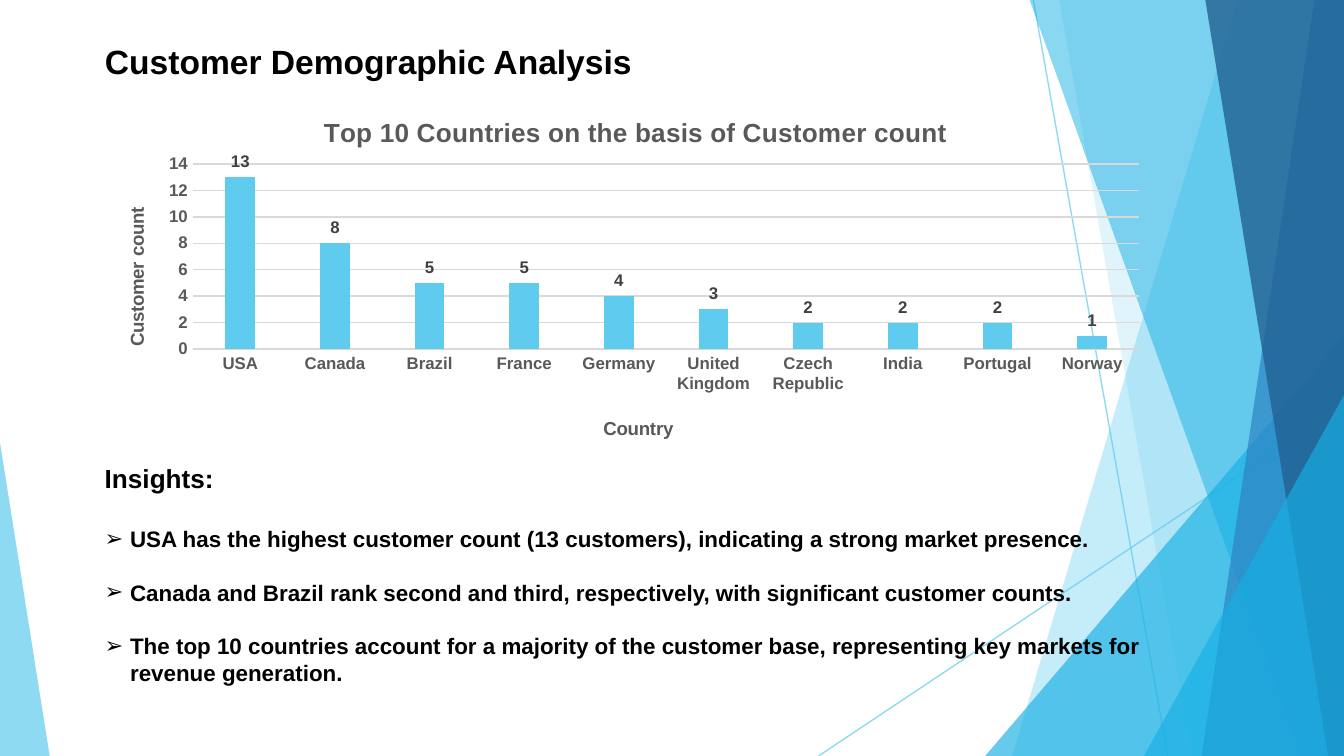
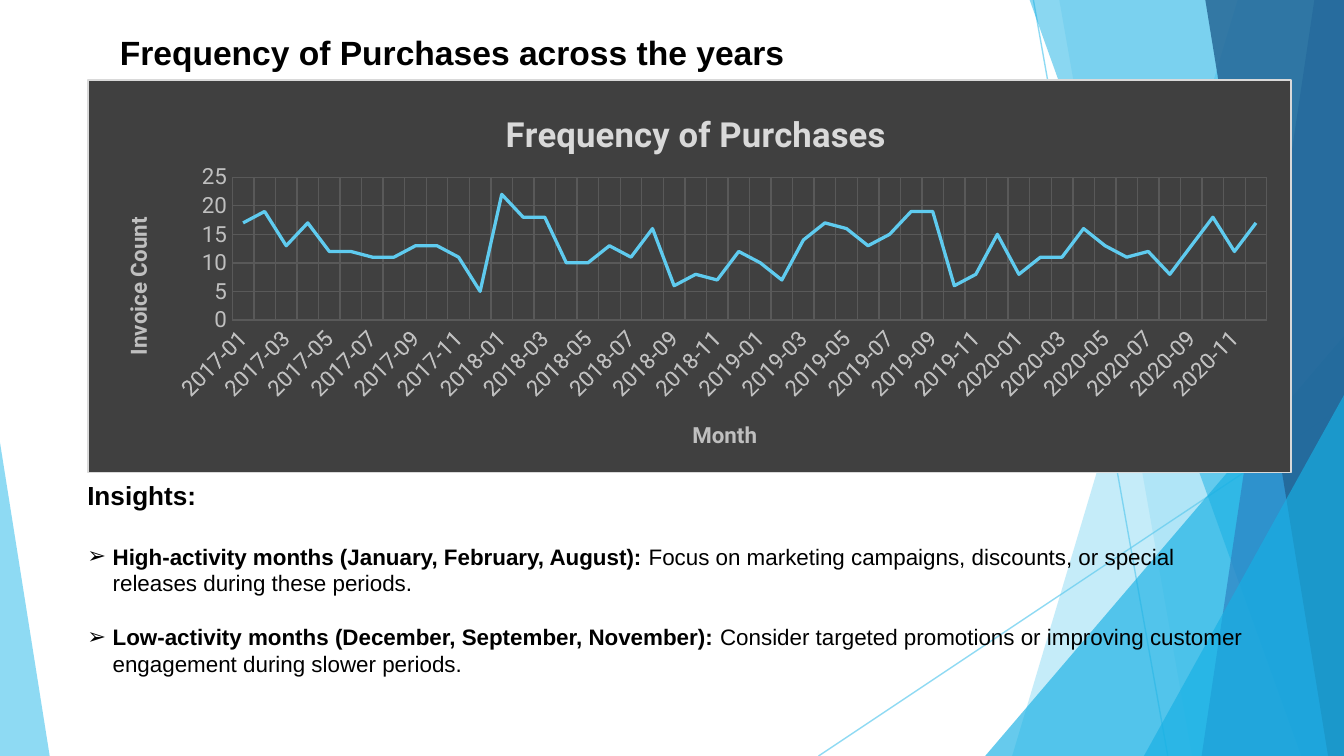
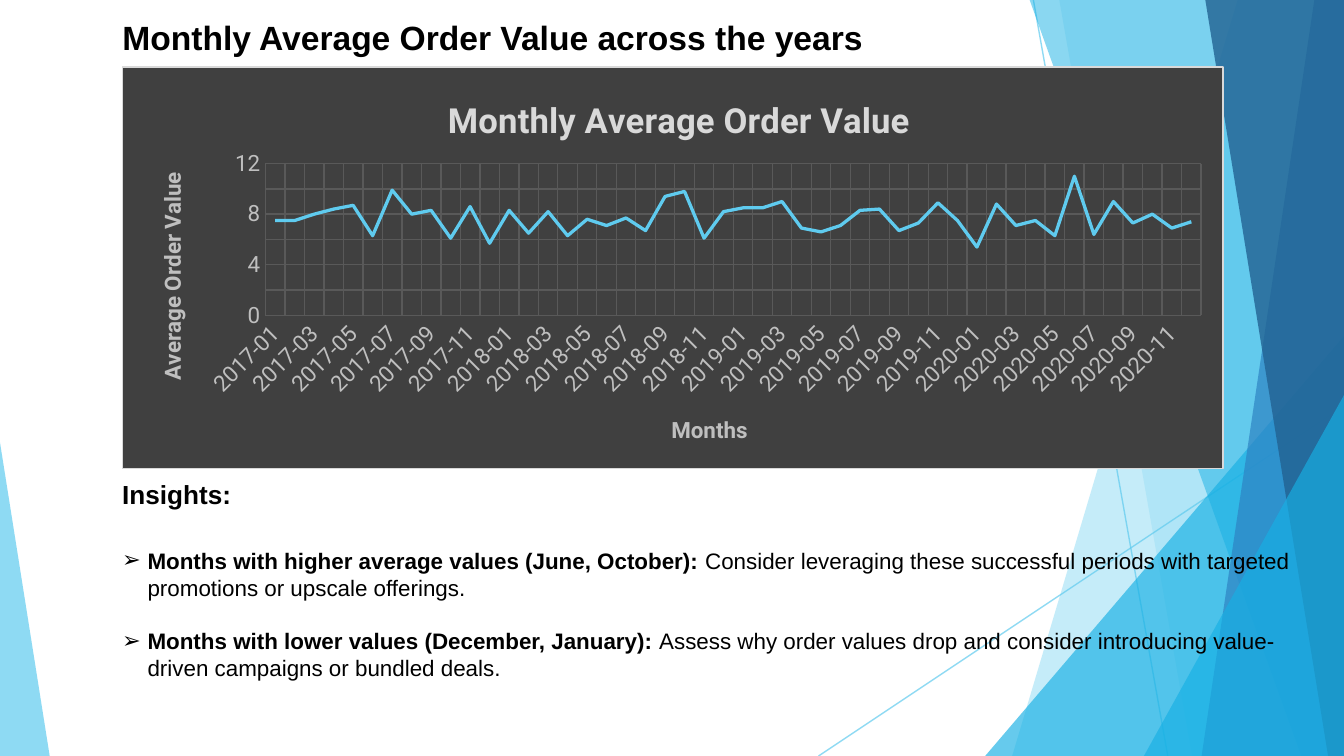
from dataclasses import dataclass

from lxml import etree
from pptx import Presentation
from pptx.chart.data import CategoryChartData
from pptx.dml.color import RGBColor
from pptx.enum.chart import XL_CHART_TYPE, XL_LABEL_POSITION, XL_TICK_MARK
from pptx.enum.shapes import MSO_CONNECTOR, MSO_SHAPE
from pptx.enum.text import MSO_ANCHOR, MSO_AUTO_SIZE, PP_ALIGN
from pptx.oxml.ns import qn
from pptx.util import Cm, Pt

COLUMN = XL_CHART_TYPE.COLUMN_CLUSTERED
LINE = XL_CHART_TYPE.LINE
OUTSIDE = XL_LABEL_POSITION.OUTSIDE_END
NO_TICK = XL_TICK_MARK.NONE
STRAIGHT = MSO_CONNECTOR.STRAIGHT
TRIANGLE = MSO_SHAPE.ISOSCELES_TRIANGLE
TOP = MSO_ANCHOR.TOP
LEFT = PP_ALIGN.LEFT
FIXED = MSO_AUTO_SIZE.NONE

WIDE, HIGH = 25.4, 14.29


@dataclass(frozen=True)
class Theme:
    font: str = "Arial"
    text: str = "000000"
    sky: str = "5FCBEF"
    cyan: str = "17B0E4"
    blue: str = "2E83C3"
    navy: str = "226292"
    rule: str = "D9D9D9"
    label: str = "404040"
    title: float = 18
    head: float = 14
    body: float = 12
    hair: float = 0.75
    trend: float = 1.75


@dataclass(frozen=True)
class Look:
    """Type and colours of one kind of chart."""
    font: str
    title: str
    ink: str
    grid: str
    big: float
    mid: float
    small: float
    bold: bool


@dataclass(frozen=True)
class Frame:
    """Places of a chart's parts, in percent of the chart."""
    plot: tuple
    title: tuple
    across: tuple
    up: tuple


THEME = Theme()
LIGHT = Look("Arial", "595959", "595959", "D9D9D9", 14, 10, 9, True)
DARK = Look("Roboto", "D9D9D9", "BFBFBF", "595959", 18.6, 12, 12, False)

MONTHS = [f"{year}-{month:02}" for year in range(2017, 2021) for month in range(1, 13)]
LANDS = {"USA": 13, "Canada": 8, "Brazil": 5, "France": 5, "Germany": 4,
         "United Kingdom": 3, "Czech Republic": 2, "India": 2, "Portugal": 2,
         "Norway": 1}
BUYS = [17, 19, 13, 17, 12, 12, 11, 11, 13, 13, 11, 5,
        22, 18, 18, 10, 10, 13, 11, 16, 6, 8, 7, 12,
        10, 7, 14, 17, 16, 13, 15, 19, 19, 6, 8, 15,
        8, 11, 11, 16, 13, 11, 12, 8, 13, 18, 12, 17]
MEANS = [7.5, 7.5, 8, 8.4, 8.7, 6.3, 9.9, 8, 8.3, 6.1, 8.6, 5.7,
         8.3, 6.5, 8.2, 6.3, 7.6, 7.1, 7.7, 6.7, 9.4, 9.8, 6.1, 8.2,
         8.5, 8.5, 9, 6.9, 6.6, 7.1, 8.3, 8.4, 6.7, 7.3, 8.9, 7.5,
         5.4, 8.8, 7.1, 7.5, 6.3, 11, 6.4, 9, 7.3, 8, 6.9, 7.4]


# Small helpers
def rgb(code):
    return RGBColor.from_string(code)


def sub(node, tag, **attrs):
    return etree.SubElement(node, qn(tag), attrs)


def span(box):
    return [Cm(side) for side in box]


def style(font, name, size, color, bold):
    font.name, font.size, font.bold = name, Pt(size), bold
    font.color.rgb = rgb(color)


def write(para, text, size, bold=True):
    run = para.add_run()
    run.text = text
    style(run.font, THEME.font, size, THEME.text, bold)


def fade(shape, alpha):
    for color in shape.element.spPr.iter(qn("a:srgbClr")):
        sub(color, "a:alpha", val=str(alpha * 1000))


# Backdrop, drawn once and handed to the layout
def paint(shape, color, alpha):
    shape.shadow.inherit = False
    shape.fill.solid()
    shape.fill.fore_color.rgb = rgb(color)
    shape.line.fill.background()
    fade(shape, alpha)


def ray(shapes, start, end):
    line = shapes.add_connector(STRAIGHT, *span(start + end))
    line.line.color.rgb = rgb(THEME.sky)
    line.line.width = Pt(THEME.hair)
    sub(line.element.spPr, "a:effectLst")
    fade(line, 70)


def band(shapes, top, foot, color, alpha):
    """Fill from a slanted left edge to the right side of the slide."""
    path = shapes.build_freeform(Cm(top), 0)
    path.add_line_segments([span(spot) for spot in ((WIDE, 0), (WIDE, HIGH), (foot, HIGH))])
    paint(path.convert_to_shape(), color, alpha)


def wedge(shapes, left, top, width, peak, color, alpha):
    """Triangle that stands on the foot of the slide."""
    shape = shapes.add_shape(TRIANGLE, *span((left, top, width, HIGH - top)))
    shape.adjustments[0] = peak
    paint(shape, color, alpha)


def backdrop(slide):
    group = slide.shapes.add_group_shape()
    shapes = group.shapes
    ray(shapes, (19.53, 0), (22.07, HIGH))
    ray(shapes, (WIDE, 7.67), (15.47, HIGH))
    band(shapes, 23.39, 19.13, THEME.sky, 36)
    band(shapes, 20.02, 22.53, THEME.sky, 20)
    wedge(shapes, 18.62, 6.35, WIDE - 18.62, 1, THEME.cyan, 66)
    band(shapes, 19.46, 24.59, THEME.cyan, 50)
    band(shapes, 24.84, 22.71, THEME.blue, 70)
    band(shapes, 22.78, 25.1, THEME.navy, 80)
    wedge(shapes, 21.62, 7.47, WIDE - 21.62, 1, THEME.cyan, 66)
    wedge(shapes, 0, 8.36, 0.94, 0, THEME.sky, 70)
    tree = slide.slide_layout.shapes.element
    tree.insert(2, group.element)
    for number, node in enumerate(tree.iter(qn("p:cNvPr")), 1):
        node.set("id", str(number))


# Title and insights
def head(slide, box, text):
    title = slide.shapes.title
    title.left, title.top, title.width, title.height = span(box)
    frame = title.text_frame
    frame.word_wrap, frame.auto_size = True, FIXED
    frame.vertical_anchor = TOP
    para = frame.paragraphs[0]
    para.alignment = LEFT
    write(para, text, THEME.title)


def notes(slide, box, points, gap=17):
    frame = slide.shapes.add_textbox(*span(box)).text_frame
    frame.word_wrap = True
    write(frame.paragraphs[0], "Insights:", THEME.head)
    for lead, rest in points:
        para = frame.add_paragraph()
        para.space_before = Pt(gap)
        gap = 14.3
        props = para._p.get_or_add_pPr()
        props.set("marL", str(Cm(0.48)))
        props.set("indent", str(-Cm(0.48)))
        sub(props, "a:buFont", typeface=THEME.font)
        sub(props, "a:buChar", char="➢")
        write(para, lead, THEME.body)
        if rest:
            write(para, rest, THEME.body, False)


# Charts
def place(node, left, top, *size):
    """Fix a chart part at percents of the chart."""
    old = node.find(qn("c:layout"))
    if old is not None:
        node.remove(old)
    layout = etree.Element(qn("c:layout"))
    manual = sub(layout, "c:manualLayout")
    if size:
        sub(manual, "c:layoutTarget", val="inner")
    for tag in ("c:xMode", "c:yMode"):
        sub(manual, tag, val="edge")
    for tag, part in zip("xywh", (left, top, *size)):
        sub(manual, f"c:{tag}", val=f"{part / 100:.3f}")
    node.insert(0 if node.find(qn("c:tx")) is None else 1, layout)


def name(title, text, spot, look, size, color):
    run = title.text_frame.paragraphs[0].add_run()
    run.text = text
    style(run.font, look.font, size, color, True)
    place(title.text_frame._txBody.getparent().getparent().getparent()
          if title.text_frame._txBody.getparent().tag != qn("c:tx")
          else title.text_frame._txBody.getparent().getparent(), *spot)


def ground(chart, fill=None):
    """Back of the chart: a bordered fill, or none."""
    area = etree.Element(qn("c:spPr"))
    chart.element.find(qn("c:chart")).addnext(area)
    if fill is None:
        sub(area, "a:noFill")
        sub(sub(area, "a:ln"), "a:noFill")
    else:
        sub(sub(area, "a:solidFill"), "a:srgbClr", val=fill)
        edge = sub(area, "a:ln", w=str(Pt(THEME.hair)))
        sub(sub(edge, "a:solidFill"), "a:srgbClr", val=THEME.rule)


def rule(line, color):
    line.color.rgb = rgb(color)
    line.width = Pt(THEME.hair)


def graph(slide, box, kind, rows, titles, frame, look, scale):
    data = CategoryChartData()
    data.categories = [key for key, _ in rows]
    data.add_series("Series 1", [value for _, value in rows])
    chart = slide.shapes.add_chart(kind, *span(box), data).chart
    chart.has_legend = False
    style(chart.font, look.font, 10, THEME.text, look.bold)
    chart.plots[0].vary_by_categories = False

    # Titles
    across, up = chart.category_axis, chart.value_axis
    name(chart.chart_title, titles[0], frame.title, look, look.big, look.title)
    name(across.axis_title, titles[1], frame.across, look, look.mid, look.ink)
    name(up.axis_title, titles[2], frame.up, look, look.mid, look.ink)

    # Axes
    for axis in (across, up):
        axis.major_tick_mark = axis.minor_tick_mark = NO_TICK
        style(axis.tick_labels.font, look.font, look.small, look.ink, look.bold)
        axis.format.line.fill.background()
    up.minimum_scale = 0
    up.maximum_scale, up.major_unit = scale
    up.has_major_gridlines = True
    rule(up.major_gridlines.format.line, look.grid)

    # Plot area
    plot = chart.element.find(f".//{qn('c:plotArea')}")
    place(plot, *frame.plot)
    sub(sub(plot, "c:spPr"), "a:noFill")
    return chart


def bars(slide, box, rows, titles, frame, scale):
    chart = graph(slide, box, COLUMN, rows, titles, frame, LIGHT, scale)
    ground(chart)
    rule(chart.category_axis.format.line, THEME.rule)
    plot = chart.plots[0]
    plot.gap_width, plot.overlap = 219, -27
    fill = plot.series[0].format.fill
    fill.solid()
    fill.fore_color.rgb = rgb(THEME.sky)
    plot.has_data_labels = True
    labels = plot.data_labels
    labels.show_value, labels.position = True, OUTSIDE
    style(labels.font, LIGHT.font, LIGHT.small, THEME.label, True)


def trend(slide, box, values, titles, frame, scale):
    rows = list(zip(MONTHS, values))
    chart = graph(slide, box, LINE, rows, titles, frame, DARK, scale)
    ground(chart, THEME.label)
    axis = chart.category_axis
    axis.has_major_gridlines = True
    rule(axis.major_gridlines.format.line, DARK.grid)
    turn = axis.tick_labels.font._element.getparent().getparent().getparent()
    turn.find(qn("a:bodyPr")).set("rot", "-2700000")
    series = chart.plots[0].series[0]
    series.smooth = False
    series.format.line.color.rgb = rgb(THEME.sky)
    series.format.line.width = Pt(THEME.trend)


# Slides
def people(slide):
    head(slide, (1.73, 0.64, 16.71, 1.02), "Customer Demographic Analysis")
    notes(slide, (1.73, 8.61, 20.19, 4.52), [
        ("USA has the highest customer count (13 customers), "
         "indicating a strong market presence.", ""),
        ("Canada and Brazil rank second and third, respectively, "
         "with significant customer counts.", ""),
        ("The top 10 countries account for a majority of the customer base, "
         "representing key markets for revenue generation.", "")])
    bars(slide, (1.73, 1.65, 20.19, 6.96), list(LANDS.items()),
         ("Top 10 Countries on the basis of Customer count", "Country", "Customer count"),
         Frame((9.5, 20.9, 88.6, 50.2), (21.3, 6.4), (47.6, 88.6), (2.8, 31.7)), (14, 2))


def orders(slide):
    head(slide, (2.01, 0.48, 14.48, 1.02), "Frequency of Purchases across the years")
    notes(slide, (1.4, 8.94, 22.35, 4.5), [
        ("High-activity months (January, February, August): ",
         "Focus on marketing campaigns, discounts, or special releases "
         "during these periods."),
        ("Low-activity months (December, September, November): ",
         "Consider targeted promotions or improving customer engagement "
         "during slower periods.")])
    trend(slide, (1.65, 1.5, 22.76, 7.44), BUYS,
          ("Frequency of Purchases", "Month", "Invoice Count"),
          Frame((12, 24.8, 86, 36.4), (34.2, 6.3), (49.9, 85.5), (2.6, 34)), (25, 5))


def worth(slide):
    head(slide, (2.06, 0.2, 19.3, 1.02), "Monthly Average Order Value across the years")
    notes(slide, (2.06, 8.92, 22.61, 4.11), [
        ("Months with higher average values (June, October): ",
         "Consider leveraging these successful periods with targeted "
         "promotions or upscale offerings."),
        ("Months with lower values (December, January): ",
         "Assess why order values drop and consider introducing "
         "value-driven campaigns or bundled deals.")], 19.8)
    trend(slide, (2.3, 1.25, 20.83, 7.62), MEANS,
          ("Monthly Average Order Value", "Months", "Average Order Value"),
          Frame((13, 24.1, 85, 37.8), (29, 6), (49.5, 85.6), (2.8, 25.3)), (12, 2))


def main():
    deck = Presentation()
    deck.slide_width, deck.slide_height = Cm(WIDE), Cm(HIGH)
    layout = deck.slide_layouts[5]
    for number, fill in enumerate((people, orders, worth)):
        slide = deck.slides.add_slide(layout)
        if number == 0:
            backdrop(slide)
        fill(slide)
    deck.save("out.pptx")


if __name__ == "__main__":
    main()
